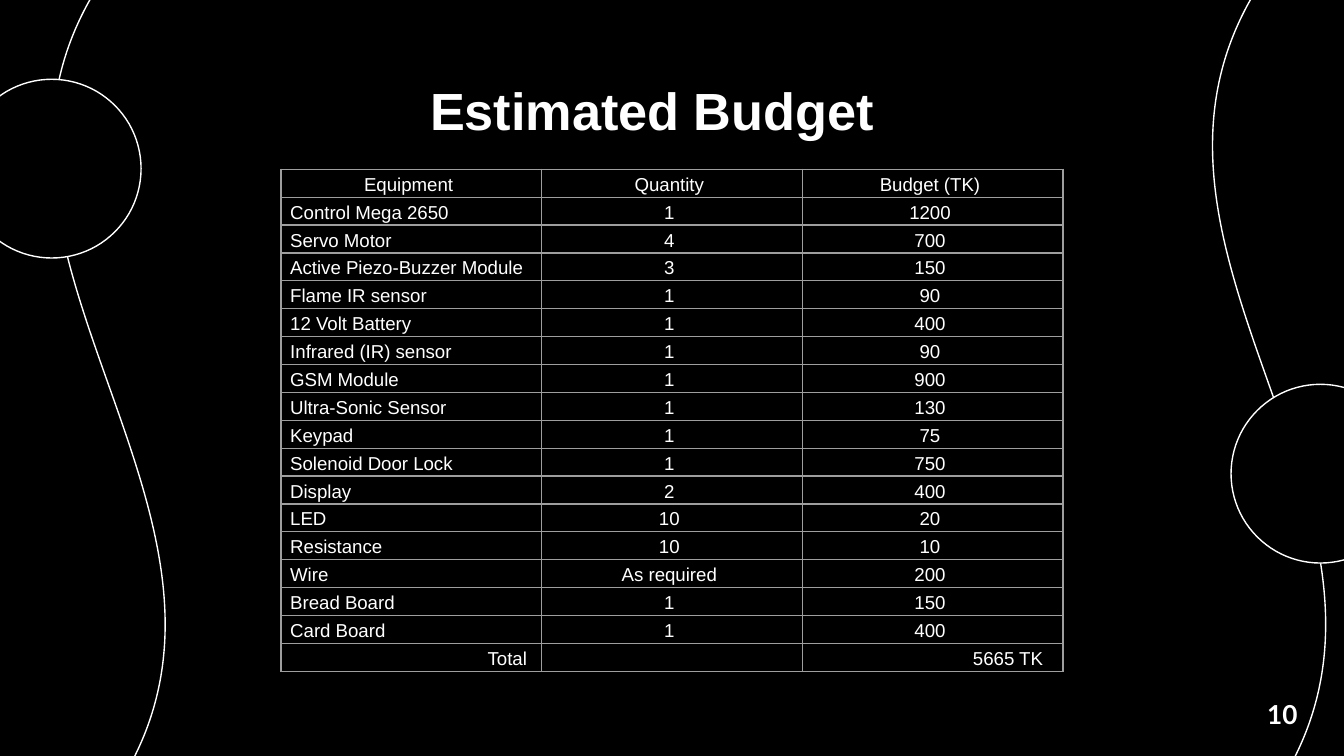
"""Build the estimated budget slide with its equipment table."""
from pptx import Presentation
from pptx.dml.color import RGBColor
from pptx.enum.shapes import MSO_SHAPE
from pptx.enum.text import MSO_ANCHOR, MSO_AUTO_SIZE, PP_ALIGN
from pptx.oxml import parse_xml
from pptx.oxml.ns import nsdecls
from pptx.util import Inches, Pt

WAVE, OVAL = MSO_SHAPE.WAVE, MSO_SHAPE.OVAL
LEFT, CENTER, RIGHT = PP_ALIGN.LEFT, PP_ALIGN.CENTER, PP_ALIGN.RIGHT
TOP = MSO_ANCHOR.TOP
NO_FIT = MSO_AUTO_SIZE.NONE

THEME = {
    "black": RGBColor(0x00, 0x00, 0x00),
    "white": RGBColor(0xFF, 0xFF, 0xFF),
    "border": "9E9E9E",
    "line": Pt(0.75),
    "title": {"name": "Arial", "size": Pt(28), "bold": True},
    "number": {"name": "Lato", "size": Pt(14), "bold": True},
    "cell": {"name": "Arial", "size": Pt(10), "bold": False},
}

ROWS = [
    ("Equipment", "Quantity", "Budget (TK)"),
    ("Control Mega 2650", "1", "1200"),
    ("Servo Motor", "4", "700"),
    ("Active Piezo-Buzzer Module", "3", "150"),
    ("Flame IR sensor", "1", "90"),
    ("12 Volt Battery", "1", "400"),
    ("Infrared (IR) sensor", "1", "90"),
    ("GSM Module", "1", "900"),
    ("Ultra-Sonic Sensor", "1", "130"),
    ("Keypad", "1", "75"),
    ("Solenoid Door Lock", "1", "750"),
    ("Display", "2", "400"),
    ("LED", "10", "20"),
    ("Resistance", "10", "10"),
    ("Wire", "As required", "200"),
    ("Bread Board", "1", "150"),
    ("Card Board", "1", "400"),
    ("Total", "", "5665 TK"),
]


def write(p, text, style, align):
    p.alignment = align
    r = p.add_run()
    r.text = text
    for name, value in THEME[style].items():
        setattr(r.font, name, value)
    r.font.color.rgb = THEME["white"]


def add_borders(cell):
    tcPr = cell._tc.get_or_add_tcPr()
    for side in ("lnL", "lnR", "lnT", "lnB"):
        tcPr.append(parse_xml(
            f'<a:{side} {nsdecls("a")} w="{THEME["line"]}"><a:solidFill>'
            f'<a:srgbClr val="{THEME["border"]}"/></a:solidFill></a:{side}>'))


prs = Presentation()
prs.slide_width, prs.slide_height = Inches(10), Inches(10 * 9 / 16)
s = prs.slides.add_slide(prs.slide_layouts[5])
s.background.fill.solid()
s.background.fill.fore_color.rgb = THEME["black"]

for kind, *box in (
    (WAVE, 2.04, -1.89, 6.17, 9.51),
    (OVAL, -0.28, 0.59, 1.33, 1.33),
    (OVAL, 9.16, 2.86, 1.33, 1.33),
):
    sp = s.shapes.add_shape(kind, *map(Inches, box))
    sp.shadow.inherit = False
    sp.fill.solid()
    sp.fill.fore_color.rgb = THEME["black"]
    sp.line.color.rgb = THEME["white"]
    sp.line.width = THEME["line"]
    if kind == WAVE:
        sp.adjustments[0], sp.adjustments[1] = 0.046, 0
        sp.rotation = 270
        sp._element.spPr.xfrm.set("flipH", "1")

number = s.shapes.add_textbox(Inches(9.33), Inches(5.15), Inches(0.43), Inches(0.34))
number.text_frame.word_wrap = False
write(number.text_frame.paragraphs[0], "10", "number", LEFT)

frame = s.shapes.add_table(len(ROWS), 3, Inches(2.09), Inches(1.26), Inches(5.82), Inches(3.74))
table = frame.table
table.first_row = table.horz_banding = False
last = len(ROWS) - 1
for i, row in enumerate(ROWS):
    for j, text in enumerate(row):
        cell = table.cell(i, j)
        add_borders(cell)
        cell.fill.background()
        margins = {
            "margin_left": Pt(5),
            "margin_top": Pt(2),
            "margin_right": Inches(0.15 if (i, j) == (last, 2) else 0.11),
            "margin_bottom": 0,
        }
        for name, value in margins.items():
            setattr(cell, name, value)
        p = cell.text_frame.paragraphs[0]
        p.line_spacing = 1.07
        if text:
            align = RIGHT if i == last else LEFT if i and j == 0 else CENTER
            write(p, text, "cell", align)
        else:
            p._p.get_or_add_endParaRPr().set("sz", str(int(THEME["cell"]["size"].pt * 100)))

title = s.shapes.title
s.shapes._spTree.append(title._element)
box = {"left": 1.79, "top": 0.53, "width": 6.12, "height": 0.57}
for name, value in box.items():
    setattr(title, name, Inches(value))
tf = title.text_frame
tf.auto_size, tf.word_wrap, tf.vertical_anchor = NO_FIT, True, TOP
write(tf.paragraphs[0], "Estimated Budget", "title", CENTER)

prs.save("out.pptx")
